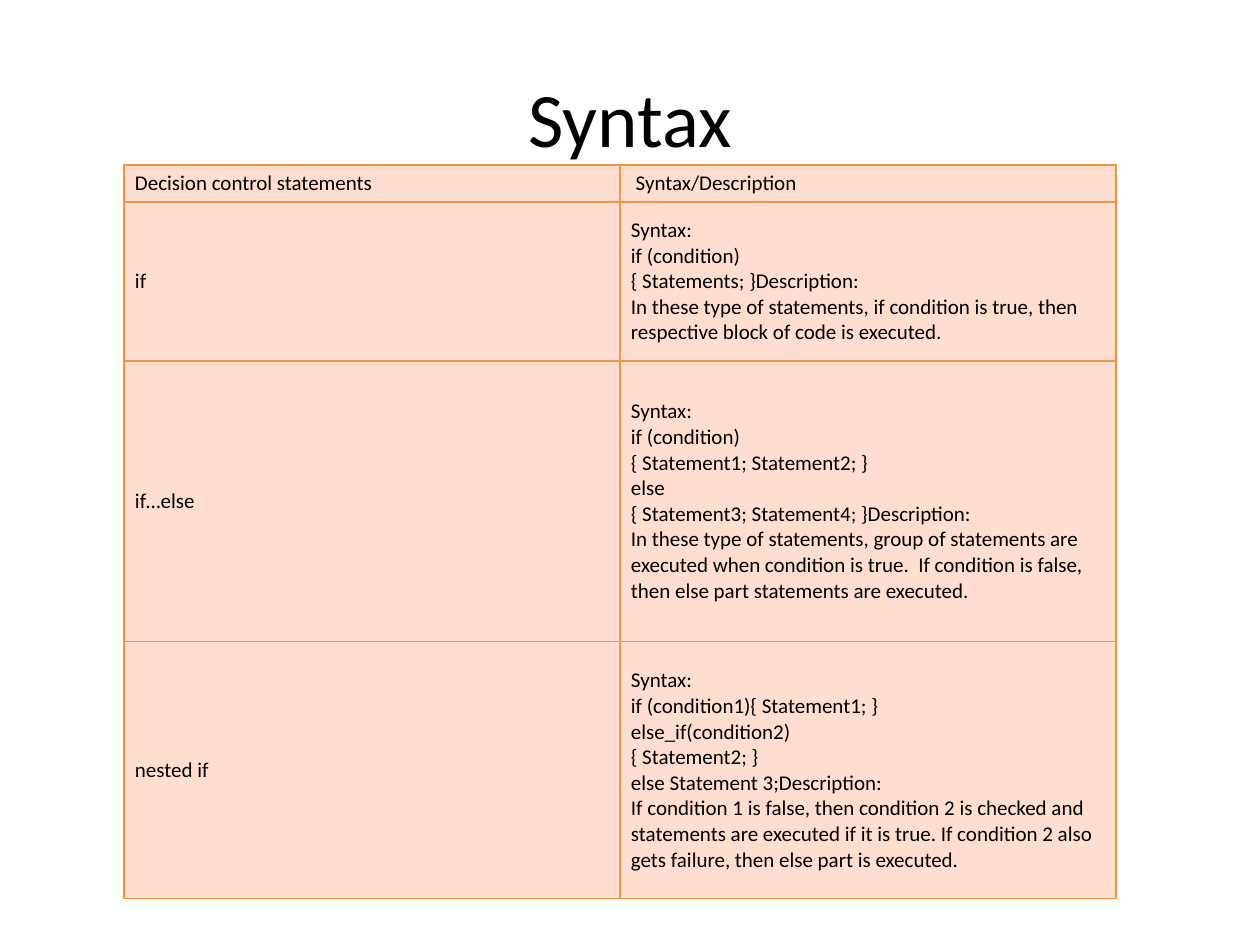
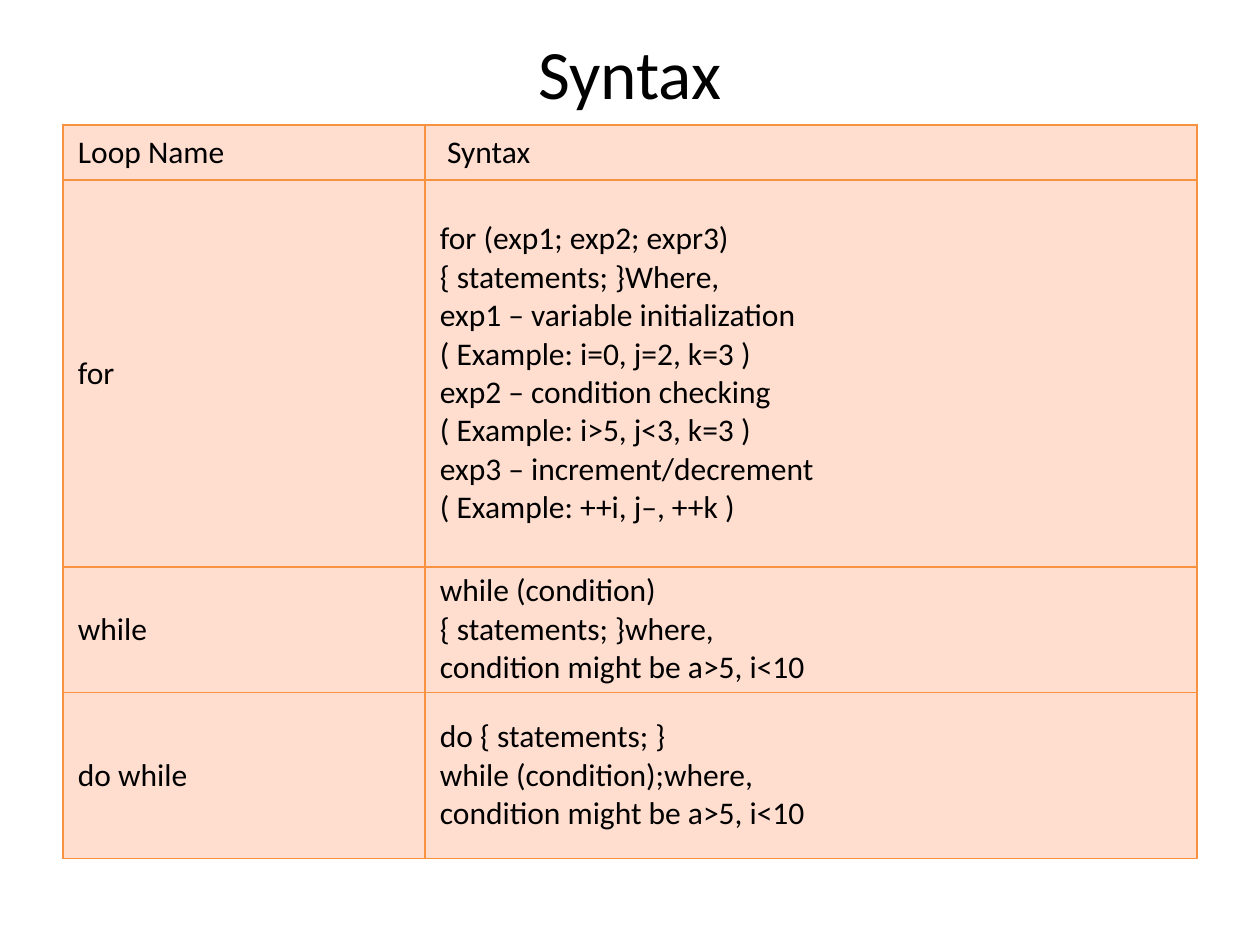
from lxml.etree import SubElement
from pptx import Presentation
from pptx.dml.color import RGBColor
from pptx.enum.text import MSO_ANCHOR, MSO_AUTO_SIZE, PP_ALIGN
from pptx.oxml.ns import qn
from pptx.util import Emu, Pt

PIXELS_PER_INCH = 126
NBSP = "\u00a0"


def px(pixels):
    """Turn picture pixels into EMU."""
    return Emu(round(pixels * 914400 / PIXELS_PER_INCH))


def color(hex_code):
    """Turn a hex string into a colour."""
    return RGBColor.from_string(hex_code)


class SyntaxDeck:
    """Holds the shared style and the current slide."""

    FONT = "Calibri"
    INK = "000000"
    CELL_FILL = "FFDDCF"
    BORDER = "F69240"
    BORDER_WIDTH = Pt(0.75)

    def __init__(self):
        """Start an empty 10 by 7.5 inch deck."""
        self.deck = Presentation()
        self.deck.slide_width = px(1260)
        self.deck.slide_height = px(945)
        self.slide = None

    def new_slide(self):
        """Add a white title-only slide and make it current."""
        self.slide = self.deck.slides.add_slide(self.deck.slide_layouts[5])
        background = self.slide.background.fill
        background.solid()
        background.fore_color.rgb = color("FFFFFF")

    def add_lines(self, paragraph, text, size):
        """Add text as one run per line, with line breaks between."""
        for number, line in enumerate(text.split("\n")):
            if number:
                paragraph.add_line_break()
            run = paragraph.add_run()
            run.text = line
            run.font.name = self.FONT
            run.font.size = Pt(size)
            run.font.bold = False
            run.font.color.rgb = color(self.INK)

    def title(self, text, top, height, size):
        """Place and fill the title placeholder."""
        heading = self.slide.shapes.title
        heading.left, heading.top = px(63), px(top)
        heading.width, heading.height = px(1134), px(height)
        frame = heading.text_frame
        frame.word_wrap = True
        frame.auto_size = MSO_AUTO_SIZE.NONE
        frame.vertical_anchor = MSO_ANCHOR.MIDDLE
        frame.paragraphs[0].alignment = PP_ALIGN.CENTER
        self.add_lines(frame.paragraphs[0], text, size)

    def border(self, cell):
        """Draw a thin line on all four sides of a cell."""
        properties = cell._tc.get_or_add_tcPr()
        for side in ("a:lnL", "a:lnR", "a:lnT", "a:lnB"):
            line = SubElement(properties, qn(side), w=str(self.BORDER_WIDTH))
            fill = SubElement(line, qn("a:solidFill"))
            SubElement(fill, qn("a:srgbClr"), val=self.BORDER)

    def cell(self, cell, text, size, side_margin):
        """Style and fill one table cell."""
        self.border(cell)
        cell.fill.solid()
        cell.fill.fore_color.rgb = color(self.CELL_FILL)
        cell.vertical_anchor = MSO_ANCHOR.MIDDLE
        cell.margin_left = cell.margin_right = px(side_margin)
        cell.margin_top = cell.margin_bottom = px(5)
        self.add_lines(cell.text_frame.paragraphs[0], text, size)

    def table(self, left, top, widths, heights, content, size, side_margin):
        """Add a table from column widths, row heights and rows of text."""
        table = self.slide.shapes.add_table(
            len(heights), len(widths), px(left), px(top),
            px(sum(widths)), px(sum(heights))).table
        table.first_row = table.horz_banding = False
        for column, width in zip(table.columns, widths):
            column.width = px(width)
        for row, height, texts in zip(table.rows, heights, content):
            row.height = px(height)
            for cell, text in zip(row.cells, texts):
                self.cell(cell, text, size, side_margin)


def block(statements):
    """Wrap statements in braces with non-breaking spaces."""
    return f"{{{NBSP}{statements}{NBSP}}}"


DECISIONS = [
    ("Decision control statements", f"{NBSP}Syntax/Description{NBSP}"),
    ("if",
     f"Syntax:\nif (condition)\n{block('Statements;')}Description:\n"
     "In these type of statements, if condition is true, then respective "
     "block of code is executed."),
    ("if…else",
     f"Syntax:\nif (condition)\n{{{NBSP}Statement1; Statement2; }}\nelse\n"
     f"{{{NBSP}Statement3; Statement4; }}Description:\n"
     "In these type of statements, group of statements are executed when "
     f"condition is true.{NBSP} If condition is false, then else part "
     "statements are executed."),
    (f"nested{NBSP}if",
     f"Syntax:\nif (condition1){block('Statement1;')}\n"
     f"else_if(condition2)\n{block('Statement2;')}\n"
     f"else{NBSP}Statement 3;Description:\n"
     "If condition 1 is false, then condition 2 is checked and statements "
     f"are executed if it is true.{NBSP}If condition 2 also gets failure, "
     "then else part is executed."),
]

LOOP_BODY = block("statements;")
LOOP_CONDITION = "condition might be a>5, i<10"
LOOPS = [
    ("Loop Name", f"{NBSP}Syntax{NBSP}"),
    ("for",
     f"for (exp1; exp2; expr3)\n{LOOP_BODY}Where,\n"
     "exp1 – variable initialization\n( Example: i=0, j=2, k=3 )\n"
     "exp2 – condition checking\n( Example: i>5, j<3, k=3 )\n"
     "exp3 – increment/decrement\n( Example: ++i, j–, ++k )"),
    ("while", f"while (condition)\n{LOOP_BODY}where,\n{LOOP_CONDITION}"),
    ("do while",
     f"do{NBSP}{LOOP_BODY}\nwhile (condition);where,\n{LOOP_CONDITION}"),
]

syntax = SyntaxDeck()

syntax.new_slide()
syntax.title("Syntax", top=38, height=158, size=44)
syntax.table(124, 165, [496, 496], [37, 159, 281, 257], DECISIONS,
             size=12, side_margin=11)

syntax.new_slide()
syntax.title("Syntax", top=38, height=68, size=39.6)
syntax.table(63, 125, [362, 772], [55, 387, 121, 166], LOOPS,
             size=18, side_margin=15)

syntax.deck.save("out.pptx")
